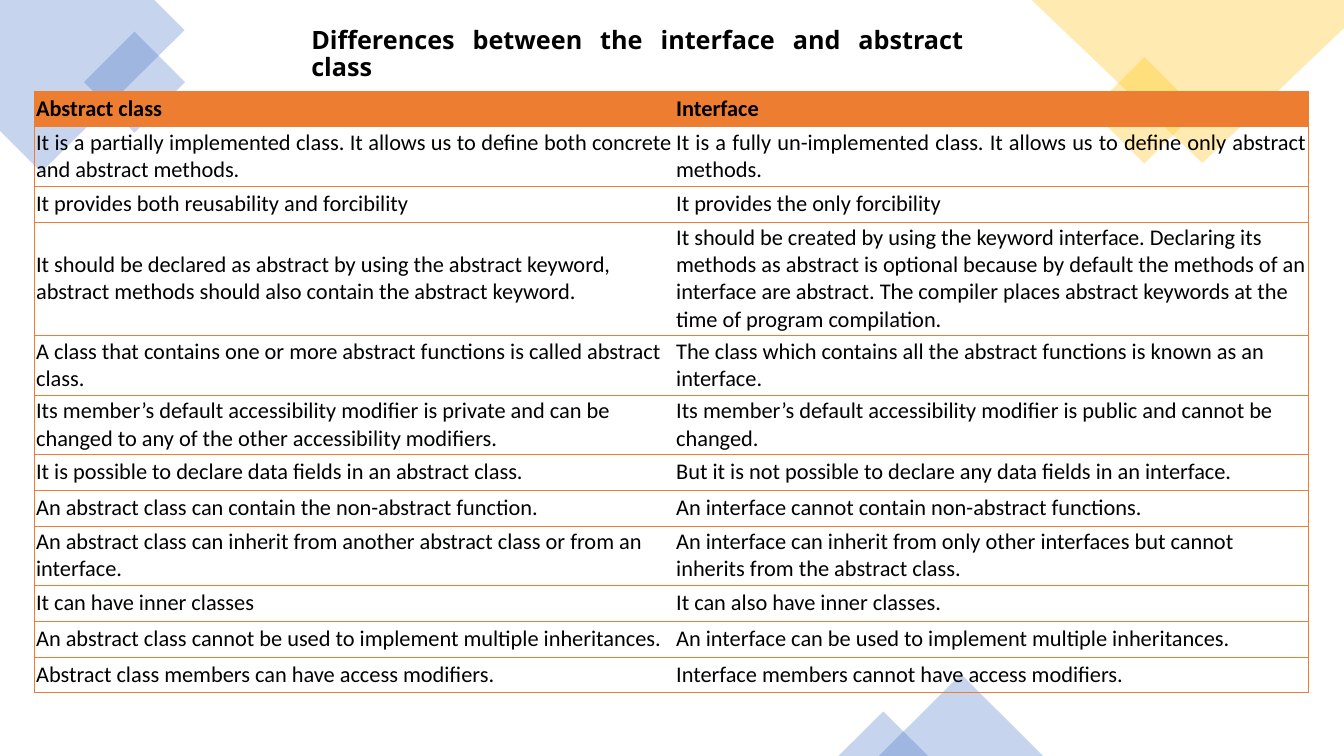
"""Build a slide that compares abstract classes with interfaces in a two-column table."""
from dataclasses import dataclass

from lxml import etree
from pptx import Presentation
from pptx.dml.color import RGBColor
from pptx.enum.shapes import MSO_SHAPE
from pptx.enum.text import MSO_ANCHOR, MSO_AUTO_SIZE, PP_ALIGN
from pptx.oxml.ns import qn
from pptx.util import Cm, Pt

RECTANGLE, TRIANGLE = MSO_SHAPE.RECTANGLE, MSO_SHAPE.ISOSCELES_TRIANGLE
TOP, MIDDLE = MSO_ANCHOR.TOP, MSO_ANCHOR.MIDDLE
LEFT, JUSTIFY = PP_ALIGN.LEFT, PP_ALIGN.JUSTIFY
NO_FIT = MSO_AUTO_SIZE.NONE
TITLE_ONLY = 5


@dataclass(frozen=True)
class Theme:
    blue: str = "4472C4"
    yellow: str = "FFC000"
    orange: str = "ED7D31"
    black: str = "000000"
    title_font: str = "Noto Sans"
    body_font: str = "Calibri"
    title_size: int = 18
    body_size: int = 16
    border: float = 0.5
    opacity: int = 30


THEME = Theme()

TITLE = "Differences between the interface and abstract class"
COMPARISON = [
    ("Abstract class", "Interface"),
    ("It is a partially implemented class. It allows us to define both concrete and abstract methods.",
     "It is a fully un-implemented class. It allows us to define only abstract methods."),
    ("It provides both reusability and forcibility", "It provides the only forcibility"),
    ("It should be declared as abstract by using the abstract keyword, abstract methods should also "
     "contain the abstract keyword.",
     "It should be created by using the keyword interface. Declaring its methods as abstract is optional "
     "because by default the methods of an interface are abstract. The compiler places abstract keywords "
     "at the time of program compilation."),
    ("A class that contains one or more abstract functions is called abstract class.",
     "The class which contains all the abstract functions is known as an interface."),
    ("Its member’s default accessibility modifier is private and can be changed to any of the other "
     "accessibility modifiers.",
     "Its member’s default accessibility modifier is public and cannot be changed."),
    ("It is possible to declare data fields in an abstract class.",
     "But it is not possible to declare any data fields in an interface."),
    ("An abstract class can contain the non-abstract function.",
     "An interface cannot contain non-abstract functions."),
    ("An abstract class can inherit from another abstract class or from an interface.",
     "An interface can inherit from only other interfaces but cannot inherits from the abstract class."),
    ("It can have inner classes", "It can also have inner classes."),
    ("An abstract class cannot be used to implement multiple inheritances.",
     "An interface can be used to implement multiple inheritances."),
    ("Abstract class members can have access modifiers.",
     "Interface members cannot have access modifiers."),
]
ROW_LINES = [1, 2, 1, 4, 2, 2, 1, 1, 2, 1, 1, 1]
LINE_HEIGHTS = {1: 0.9, 2: 1.5, 4: 2.74}
JUSTIFIED_ROWS = {1, 11}
COLUMN_WIDTHS = [16.13, 15.98]
TABLE_CORNER = (0.86, 2.29)
CELL_INSET = 0.05
TITLE_BOX = (7.59, 0.56, 16.94, 1.02)

CORNERS = [
    (THEME.blue, [(0, 0), (3.89, 0), (4.65, 0.76), (1.04, 4.34), (0, 3.3)]),
    (THEME.yellow, [(33.87, 0), (26, 0), (30.3, 4.11), (33.87, 0.71)]),
]
ORNAMENTS = [
    (RECTANGLE, THEME.blue, (2.49, 1.17, 1.8, 1.8), 315),
    (RECTANGLE, THEME.yellow, (27.89, 1.83, 1.9, 1.9), 315),
    (TRIANGLE, THEME.blue, (22.15, 16.99, 4.14, 2.06), 0),
    (TRIANGLE, THEME.blue, (21.13, 17.93, 2.26, 1.12), 0),
]


def apply(target, values):
    for name, value in values.items():
        setattr(target, name, value)


def tint(shape, color):
    shape.shadow.inherit = False
    shape.line.fill.background()
    shape.fill.solid()
    shape.fill.fore_color.rgb = RGBColor.from_string(color)
    solid = shape.fill._xPr.find(qn("a:solidFill"))
    etree.SubElement(solid[0], qn("a:alpha"), val=str(THEME.opacity * 1000))


def write(frame, text, align, font, size, bold):
    para = frame.paragraphs[0]
    para.alignment = align
    span = para.add_run()
    span.text = text
    apply(span.font, {"name": font, "size": Pt(size), "bold": bold})
    span.font.color.rgb = RGBColor.from_string(THEME.black)
    return para


def draw_borders(cell, visible):
    properties = cell._tc.get_or_add_tcPr()
    for side in "LRTB":
        line = etree.SubElement(properties, qn("a:ln" + side), w=str(Pt(THEME.border)))
        if side in visible:
            solid = etree.SubElement(line, qn("a:solidFill"))
            etree.SubElement(solid, qn("a:srgbClr"), val=THEME.orange)
        else:
            etree.SubElement(line, qn("a:noFill"))


def add_ornaments(page):
    for color, points in CORNERS:
        outline = [(Cm(x), Cm(y)) for x, y in points]
        builder = page.shapes.build_freeform(*outline[0])
        builder.add_line_segments(outline[1:], close=True)
        tint(builder.convert_to_shape(), color)
    for kind, color, place, angle in ORNAMENTS:
        shape = page.shapes.add_shape(kind, *map(Cm, place))
        shape.rotation = angle
        tint(shape, color)


def add_comparison(page):
    heights = [LINE_HEIGHTS[lines] for lines in ROW_LINES]
    size = (sum(COLUMN_WIDTHS), sum(heights))
    table = page.shapes.add_table(len(COMPARISON), len(COLUMN_WIDTHS),
                                  *map(Cm, TABLE_CORNER + size)).table
    apply(table, {"first_row": False, "horz_banding": False})
    for column, width in zip(table.columns, COLUMN_WIDTHS):
        column.width = Cm(width)
    margins = {"margin_" + side: Cm(CELL_INSET) for side in ("left", "right", "top", "bottom")}
    for index, texts in enumerate(COMPARISON):
        table.rows[index].height = Cm(heights[index])
        header = index == 0
        align = JUSTIFY if index in JUSTIFIED_ROWS else LEFT
        for cell, text, edge in zip(table.rows[index].cells, texts, "LR"):
            apply(cell, {"vertical_anchor": MIDDLE, **margins})
            write(cell.text_frame, text, align, THEME.body_font, THEME.body_size, header)
            draw_borders(cell, edge + "TB")
            if header:
                cell.fill.solid()
                cell.fill.fore_color.rgb = RGBColor.from_string(THEME.orange)
            else:
                cell.fill.background()


def add_title(page):
    title = page.shapes.title
    apply(title, dict(zip(("left", "top", "width", "height"), map(Cm, TITLE_BOX))))
    apply(title.text_frame, {"word_wrap": True, "auto_size": NO_FIT, "vertical_anchor": TOP})
    para = write(title.text_frame, TITLE, JUSTIFY, THEME.title_font, THEME.title_size, True)
    para.line_spacing = 0.9


deck = Presentation()
apply(deck, {"slide_width": Cm(33.87), "slide_height": Cm(19.05)})
page = deck.slides.add_slide(deck.slide_layouts[TITLE_ONLY])
add_ornaments(page)
add_comparison(page)
add_title(page)
deck.save("out.pptx")
